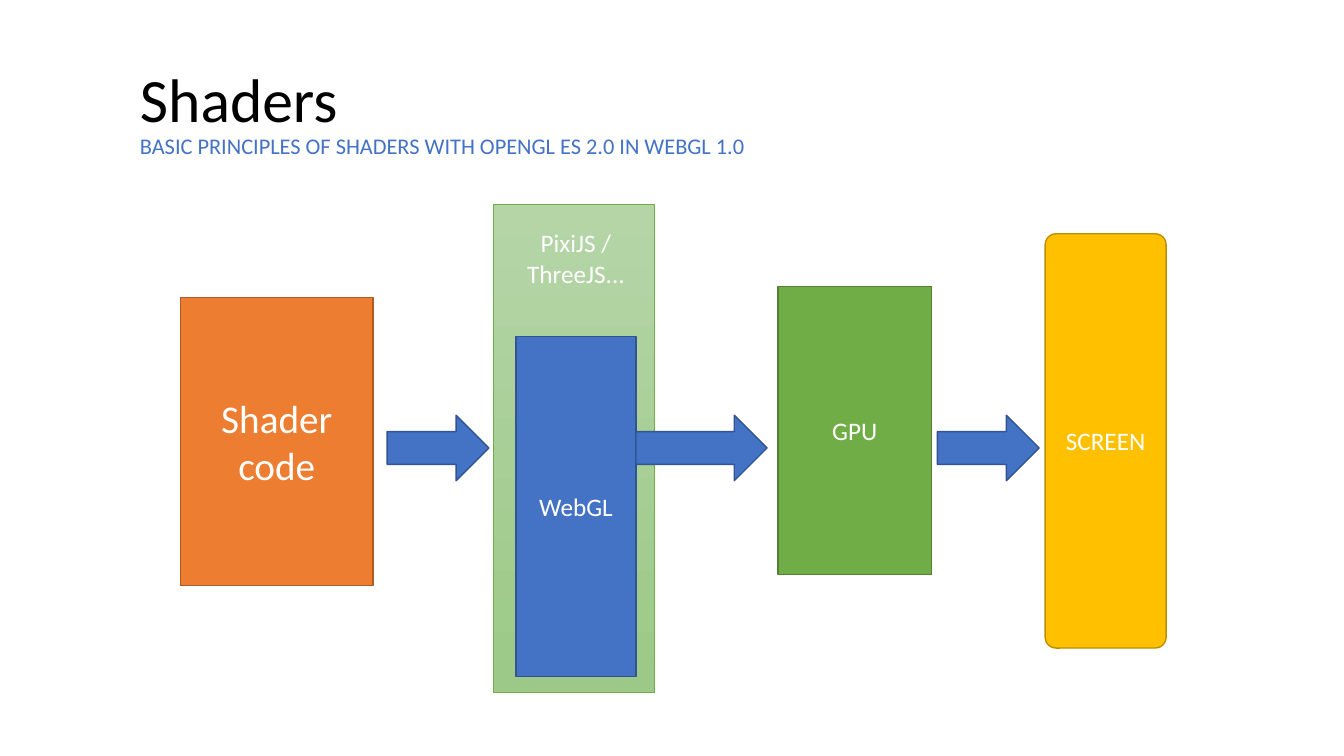
from dataclasses import dataclass
from typing import Any, NamedTuple

from pptx import Presentation
from pptx.dml.color import RGBColor as Rgb
from pptx.enum.shapes import MSO_SHAPE as Preset
from pptx.enum.text import MSO_ANCHOR as Anchor, MSO_AUTO_SIZE as AutoSize, PP_ALIGN as Align
from pptx.util import Pt


@dataclass(frozen=True)
class Theme:
    font: str = "Calibri"
    white: str = "FFFFFF"
    black: str = "000000"
    blue: str = "4472C4"
    blue_edge: str = "325491"
    orange: str = "ED7D31"
    orange_edge: str = "AF5C24"
    green: str = "70AD47"
    green_edge: str = "538035"
    gold: str = "FFC000"
    gold_edge: str = "BD8E00"
    pale_top: str = "B5D5A7"
    pale_bottom: str = "9CC987"
    title_size: float = 44
    subtitle_size: float = 16
    lead_size: float = 28
    label_size: float = 18


class Area(NamedTuple):
    left: float
    top: float
    width: float
    height: float

    def lengths(self) -> list[Pt]:
        return [Pt(value) for value in self]


@dataclass(frozen=True)
class Stage:
    area: Area
    fill: str
    edge: str
    label: str = ""
    size: float = 18
    preset: Any = Preset.RECTANGLE
    edge_width: float = 1
    fill_end: str = ""
    corner: float | None = None


THEME = Theme()
ARROW_TOP, ARROW_HEIGHT = 296.6, 46.8
ARROW_SPANS = [(276.5, 72.7), (454.3, 93.6), (669.6, 72.7)]

STAGES = [
    Stage(Area(352.1, 146.2, 115.2, 348.5), THEME.pale_top, THEME.green,
          edge_width=0.5, fill_end=THEME.pale_bottom),
    Stage(Area(128.9, 212.4, 137.5, 205.9), THEME.orange, THEME.orange_edge,
          "Shader code", THEME.lead_size),
    Stage(Area(746.6, 167, 86.4, 295.9), THEME.gold, THEME.gold_edge,
          "SCREEN", THEME.label_size, Preset.ROUNDED_RECTANGLE, corner=0.09),
    Stage(Area(555.8, 204.5, 109.4, 205.9), THEME.green, THEME.green_edge,
          "GPU", THEME.label_size),
    Stage(Area(368.6, 240.5, 85.7, 242.6), THEME.blue, THEME.blue_edge,
          "WebGL", THEME.label_size),
]
ARROWS = [
    Stage(Area(left, ARROW_TOP, width, ARROW_HEIGHT), THEME.blue, THEME.blue_edge,
          preset=Preset.RIGHT_ARROW)
    for left, width in ARROW_SPANS
]


def apply_format(target: Any, values: dict[str, Any]) -> None:
    for name, value in values.items():
        setattr(target, name, value)


def add_words(paragraph: Any, words: str, size: float, color: str) -> None:
    run = paragraph.add_run()
    run.text = words
    apply_format(run.font, {"name": THEME.font, "size": Pt(size)})
    run.font.color.rgb = Rgb.from_string(color)


def draw_stage(slide: Any, stage: Stage) -> None:
    block = slide.shapes.add_shape(stage.preset, *stage.area.lengths())
    block.shadow.inherit = False
    if stage.corner is not None:
        block.adjustments[0] = stage.corner
    if stage.fill_end:
        block.fill.gradient()
        block.fill.gradient_angle = 270
        for stop, color in zip(block.fill.gradient_stops, (stage.fill, stage.fill_end)):
            apply_format(stop.color, {"rgb": Rgb.from_string(color)})
    else:
        block.fill.solid()
        block.fill.fore_color.rgb = Rgb.from_string(stage.fill)
    block.line.width = Pt(stage.edge_width)
    block.line.color.rgb = Rgb.from_string(stage.edge)
    if stage.label:
        apply_format(block.text_frame, {"word_wrap": True, "vertical_anchor": Anchor.MIDDLE})
        paragraph = block.text_frame.paragraphs[0]
        paragraph.alignment = Align.CENTER
        add_words(paragraph, stage.label, stage.size, THEME.white)


def add_text_area(slide: Any, area: Area, frame_format: dict[str, Any]) -> Any:
    frame = slide.shapes.add_textbox(*area.lengths()).text_frame
    apply_format(frame, {"word_wrap": True, **frame_format})
    return frame.paragraphs[0]


def draw_libraries(slide: Any) -> None:
    libraries = add_text_area(slide, Area(361.4, 159.1, 100.1, 51.1),
                              {"auto_size": AutoSize.SHAPE_TO_FIT_TEXT})
    libraries.alignment = Align.CENTER
    add_words(libraries, "PixiJS / ThreeJS...", THEME.label_size, THEME.white)


def draw_heading(slide: Any) -> None:
    heading = add_text_area(slide, Area(92.9, 29.5, 564.5, 104.4),
                            {"vertical_anchor": Anchor.MIDDLE})
    heading.line_spacing = 0.9
    add_words(heading, "Shaders", THEME.title_size, THEME.black)
    heading.add_line_break()
    add_words(heading, "BASIC PRINCIPLES OF SHADERS WITH OPENGL ES 2.0 IN WEBGL 1.0",
              THEME.subtitle_size, THEME.blue)


def main() -> None:
    deck = Presentation()
    apply_format(deck, {"slide_width": Pt(960), "slide_height": Pt(540)})
    slide = deck.slides.add_slide(deck.slide_layouts[6])
    for stage in STAGES:
        draw_stage(slide, stage)
    draw_libraries(slide)
    for arrow in ARROWS:
        draw_stage(slide, arrow)
    draw_heading(slide)
    deck.save("out.pptx")


if __name__ == "__main__":
    main()
